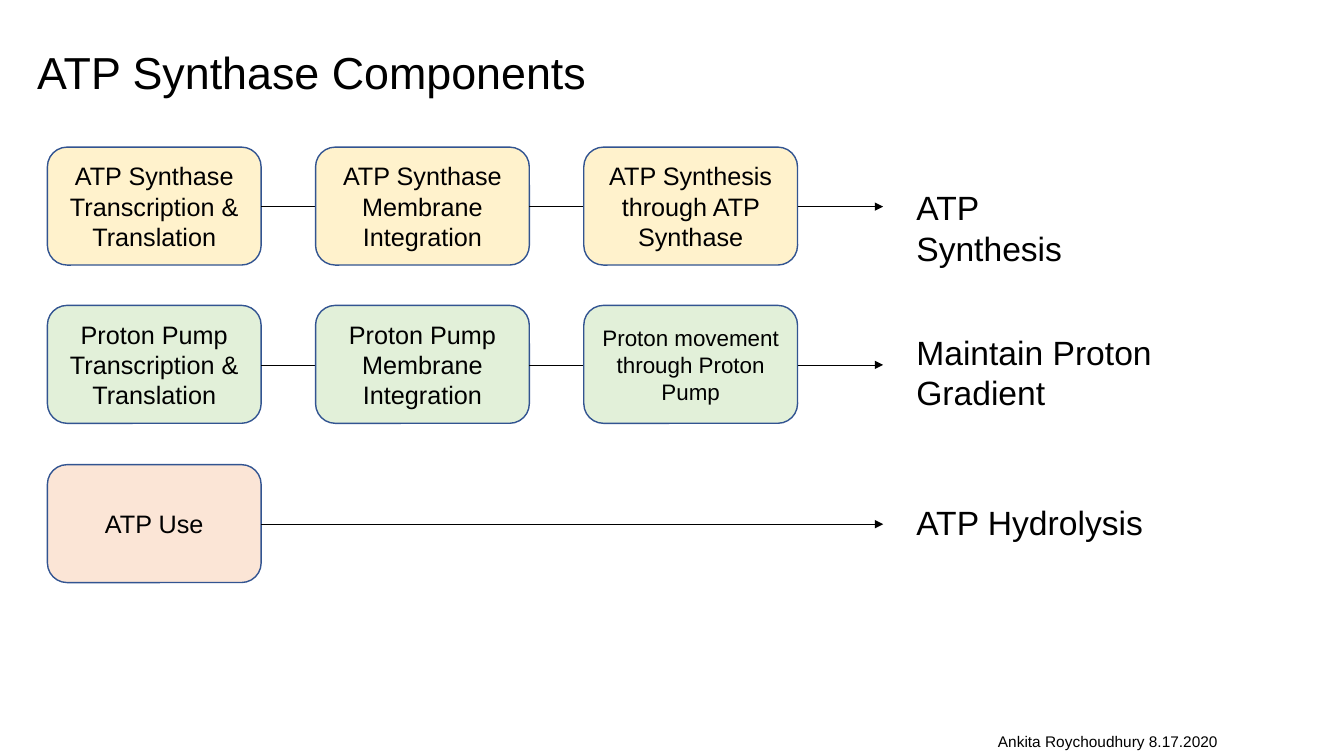
from dataclasses import dataclass

from lxml import etree
from pptx import Presentation
from pptx.dml.color import RGBColor
from pptx.enum.shapes import MSO_CONNECTOR, MSO_SHAPE
from pptx.enum.text import MSO_ANCHOR, PP_ALIGN
from pptx.oxml.ns import qn
from pptx.slide import Slide
from pptx.text.text import TextFrame
from pptx.util import Emu, Pt

EMU_PER_PX = 9144  # 100 px to the inch
ROUNDED = MSO_SHAPE.ROUNDED_RECTANGLE
STRAIGHT = MSO_CONNECTOR.STRAIGHT
TOP, MIDDLE = MSO_ANCHOR.TOP, MSO_ANCHOR.MIDDLE
LEFT, CENTER = PP_ALIGN.LEFT, PP_ALIGN.CENTER

COLOURS = {
    "text": "000000",
    "arrow": "000000",
    "outline": "325491",
    "synthase": "FFF2CC",
    "pump": "E2F0D9",
    "use": "FBE5D6",
}

STEP_LEFT, STEP_TOP = 47, 146
STEP_WIDTH, STEP_HEIGHT = 212, 117
COLUMN_PITCH, TWO_ROW_PITCH = 266, 315
ARROW_END = 876


@dataclass(frozen=True)
class Step:
    text: str
    size: int = 18


@dataclass(frozen=True)
class Label:
    text: str
    left: int
    top: int
    width: int
    height: int
    size: int = 24
    anchor: MSO_ANCHOR = TOP
    line_spacing: float = 1.0
    wrap: bool = True


@dataclass(frozen=True)
class Pathway:
    colour: str
    steps: tuple[Step, ...]
    outcome: Label


PATHWAYS = (
    Pathway(
        "synthase",
        (
            Step("ATP Synthase Transcription & Translation"),
            Step("ATP Synthase Membrane Integration"),
            Step("ATP Synthesis through ATP Synthase"),
        ),
        Label("ATP Synthesis", 899, 181, 235, 50),
    ),
    Pathway(
        "pump",
        (
            Step("Proton Pump Transcription & Translation"),
            Step("Proton Pump Membrane Integration"),
            Step("Proton movement through Proton Pump", 16),
        ),
        Label("Maintain Proton Gradient", 899, 324, 273, 91),
    ),
    Pathway("use", (Step("ATP Use"),), Label("ATP Hydrolysis", 899, 493, 273, 50)),
)
TITLE = Label("ATP Synthase Components", 27, 2, 1150, 145, 32, MIDDLE, 0.9)
FOOTER = Label("Ankita Roychoudhury 8.17.2020", 980, 721, 243, 29, 11, wrap=False)


def px(length: int) -> Emu:
    return Emu(length * EMU_PER_PX)


def colour(name: str) -> RGBColor:
    return RGBColor.from_string(COLOURS[name])


def write_text(
    frame: TextFrame,
    text: str,
    size: int,
    anchor: MSO_ANCHOR,
    alignment: PP_ALIGN,
    line_spacing: float = 1.0,
    wrap: bool = True,
) -> None:
    frame.word_wrap = wrap
    frame.vertical_anchor = anchor
    paragraph = frame.paragraphs[0]
    paragraph.text = text
    paragraph_format = {"alignment": alignment, "line_spacing": line_spacing}
    for attribute, value in paragraph_format.items():
        setattr(paragraph, attribute, value)
    font = paragraph.runs[0].font
    for attribute, value in {"name": "Arial", "size": Pt(size)}.items():
        setattr(font, attribute, value)
    font.color.rgb = colour("text")


def add_label(slide: Slide, label: Label) -> None:
    box = slide.shapes.add_textbox(
        px(label.left), px(label.top), px(label.width), px(label.height)
    )
    write_text(
        box.text_frame, label.text, label.size, label.anchor, LEFT,
        label.line_spacing, label.wrap,
    )


def add_step(slide: Slide, step: Step, left: int, top: int, fill: str) -> None:
    shape = slide.shapes.add_shape(
        ROUNDED, px(left), px(top), px(STEP_WIDTH), px(STEP_HEIGHT)
    )
    shape.shadow.inherit = False
    shape.fill.solid()
    shape.fill.fore_color.rgb = colour(fill)
    shape.line.color.rgb = colour("outline")
    shape.line.width = Pt(1)
    write_text(shape.text_frame, step.text, step.size, MIDDLE, CENTER)


def add_link(slide: Slide, start: int, end: int, y: int, arrowhead: bool) -> None:
    """Draw a horizontal line, with an arrowhead at its end if asked."""
    link = slide.shapes.add_connector(STRAIGHT, px(start), px(y), px(end), px(y))
    link.line.color.rgb = colour("arrow")
    link.line.width = Pt(0.5)
    if arrowhead:
        outline = link.line._get_or_add_ln()
        etree.SubElement(outline, qn("a:tailEnd"), type="triangle")
    etree.SubElement(link._element.spPr, qn("a:effectLst"))


def add_pathway(slide: Slide, pathway: Pathway, top: int) -> None:
    last = len(pathway.steps) - 1
    for column, step in enumerate(pathway.steps):
        left = STEP_LEFT + column * COLUMN_PITCH
        add_step(slide, step, left, top, pathway.colour)
        end = ARROW_END if column == last else left + COLUMN_PITCH
        add_link(
            slide, left + STEP_WIDTH, end, top + STEP_HEIGHT // 2 + 1, column == last
        )
    add_label(slide, pathway.outcome)


def main() -> None:
    presentation = Presentation()
    presentation.slide_width = px(1333)
    presentation.slide_height = px(750)
    slide = presentation.slides.add_slide(presentation.slide_layouts[6])
    add_label(slide, TITLE)
    for row, pathway in enumerate(PATHWAYS):
        add_pathway(slide, pathway, STEP_TOP + row * TWO_ROW_PITCH // 2)
    add_label(slide, FOOTER)
    presentation.save("out.pptx")


if __name__ == "__main__":
    main()
